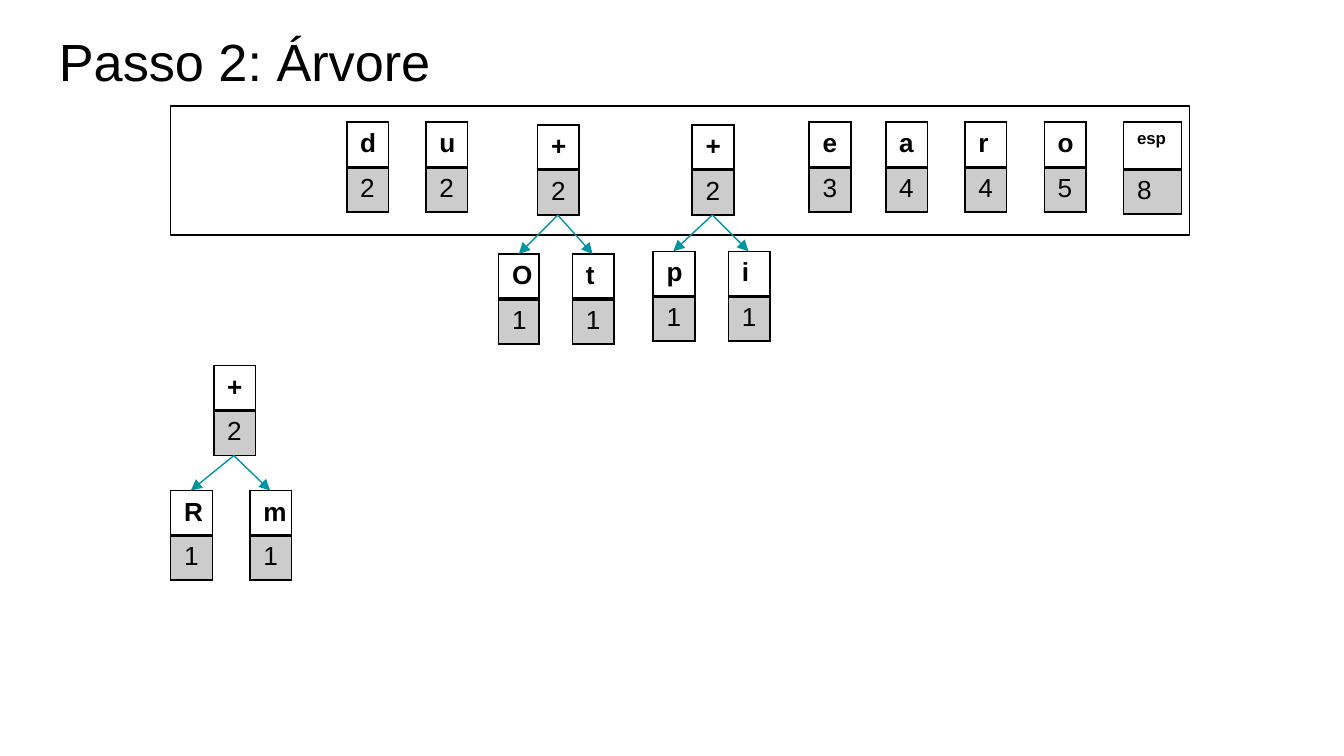
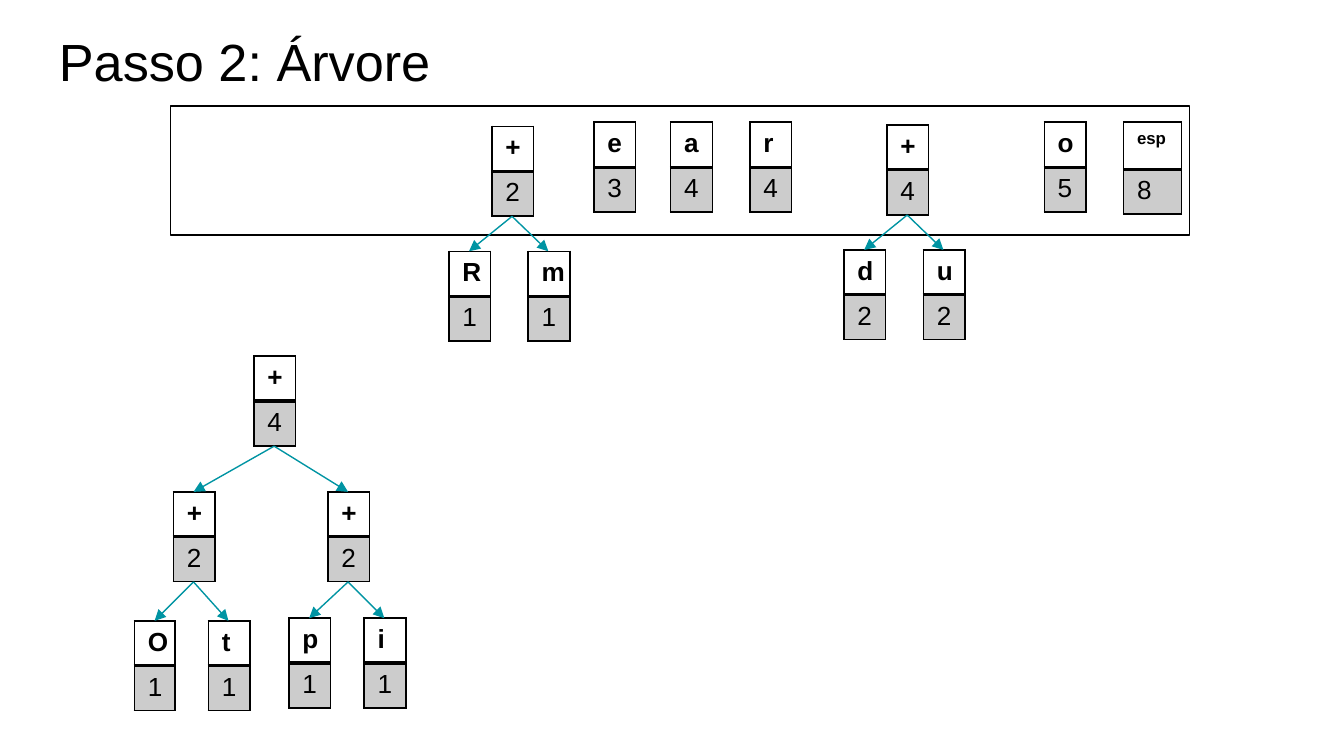
from dataclasses import dataclass, replace

from lxml.etree import SubElement
from pptx import Presentation
from pptx.dml.color import RGBColor
from pptx.enum.shapes import MSO_CONNECTOR, MSO_SHAPE
from pptx.enum.text import MSO_ANCHOR
from pptx.oxml.ns import qn
from pptx.slide import Slide
from pptx.table import _Cell
from pptx.util import Emu, Pt

PX = 9144
FONT = "Arial"
COLORS = {"ink": "000000", "arrow": "0094A3", "paper": "FFFFFF"}
COUNT_ALPHA = 20000
QUEUE_TOP = 91
ARROW_GAP = 3


@dataclass(frozen=True)
class Node:
    symbol: str
    count: int
    x: int = 0
    y: int = 0
    children: tuple["Node", ...] = ()
    width: int = 31
    height: int = 64
    rows: tuple[int, int] = (31, 31)
    symbol_size: int = 14


@dataclass(frozen=True)
class Step:
    queue: tuple[Node, ...]
    trees: tuple[Node, ...]


def px(length: int) -> Emu:
    return Emu(length * PX)


def color(name: str) -> RGBColor:
    return RGBColor.from_string(COLORS[name])


def branch(count: int, *children: Node) -> Node:
    return Node("+", count, children=children, rows=(29, 29))


def placed(node: Node, x: int, y: int) -> Node:
    return replace(node, x=x, y=y)


def queued(*nodes: Node) -> tuple[Node, ...]:
    return tuple(replace(node, y=QUEUE_TOP) for node in nodes)


def add_title(slide: Slide, wording: str) -> None:
    title = slide.shapes.add_textbox(px(34), px(12), px(932), px(63))
    frame = title.text_frame
    frame.word_wrap = True
    frame.vertical_anchor = MSO_ANCHOR.TOP
    frame.margin_left = frame.margin_right = px(10)
    frame.margin_top = frame.margin_bottom = px(10)
    paragraph = frame.paragraphs[0]
    paragraph.text = wording
    paragraph.font.size = Pt(28)
    paragraph.font.name = FONT
    paragraph.font.color.rgb = color("ink")


def add_tray(slide: Slide) -> None:
    tray = slide.shapes.add_shape(MSO_SHAPE.RECTANGLE, px(127), px(79), px(758), px(96))
    tray.shadow.inherit = False
    tray.fill.background()
    tray.line.color.rgb = color("ink")
    tray.line.width = Pt(0.75)


def set_borders(cell: _Cell, bottom: int) -> None:
    properties = cell._tc.get_or_add_tcPr()
    for side, width in (("L", 1), ("R", 1), ("T", 1), ("B", bottom)):
        border = SubElement(properties, qn(f"a:ln{side}"), w=str(Pt(width)))
        paint = SubElement(border, qn("a:solidFill"))
        SubElement(paint, qn("a:srgbClr"), val=COLORS["ink"])


def write_cell(cell: _Cell, wording: str, size: int, bold: bool) -> None:
    cell.margin_left = cell.margin_right = px(10)
    cell.margin_top = cell.margin_bottom = px(5)
    paragraph = cell.text_frame.paragraphs[0]
    paragraph.text = wording
    paragraph.font.size = Pt(size)
    paragraph.font.bold = bold
    paragraph.font.name = FONT
    paragraph.font.color.rgb = color("ink")


def add_node(slide: Slide, node: Node, x: int, y: int) -> None:
    frame = slide.shapes.add_table(2, 1, px(x), px(y), px(node.width), px(node.height))
    table = frame.table
    table.first_row = table.horz_banding = False
    for row, height in zip(table.rows, node.rows):
        row.height = px(height)
    frame.height = px(node.height)

    symbol, count = table.cell(0, 0), table.cell(1, 0)
    write_cell(symbol, node.symbol, node.symbol_size, True)
    set_borders(symbol, 2)
    symbol.fill.background()

    write_cell(count, str(node.count), 14, False)
    set_borders(count, 1)
    count.fill.solid()
    count.fill.fore_color.rgb = color("ink")
    shade = count._tc.tcPr.find(qn("a:solidFill"))[0]
    SubElement(shade, qn("a:alpha"), val=str(COUNT_ALPHA))


def add_arrow(slide: Slide, start: tuple[int, int], end: tuple[int, int]) -> None:
    arrow = slide.shapes.add_connector(
        MSO_CONNECTOR.STRAIGHT, *map(px, start), *map(px, end)
    )
    arrow.line.color.rgb = color("arrow")
    arrow.line.width = Pt(0.75)
    SubElement(arrow.line._get_or_add_ln(), qn("a:tailEnd"), type="triangle")
    SubElement(arrow._element.spPr, qn("a:effectLst"))


def add_tree(slide: Slide, node: Node, origin_x: int = 0, origin_y: int = 0) -> None:
    x, y = origin_x + node.x, origin_y + node.y
    for child in node.children:
        add_tree(slide, child, x, y)
    add_node(slide, node, x, y)
    for child in reversed(node.children):
        start = (x + node.width // 2, y + node.height + ARROW_GAP)
        end = (x + child.x + child.width // 2, y + child.y)
        add_arrow(slide, start, end)


D, U = Node("d", 2), Node("u", 2)
E, A, R = Node("e", 3), Node("a", 4), Node("r", 4)
O_QUEUED = Node("o", 5, x=777)
SPACE = Node("esp", 8, x=836, width=43, height=67, rows=(35, 31), symbol_size=9)

O_T = branch(2, Node("O", 1, -29, 96, width=30), Node("t", 1, 26, 96))
P_I = branch(2, Node("p", 1, -29, 94), Node("i", 1, 27, 94))
R_M = branch(2, Node("R", 1, -32, 93), Node("m", 1, 27, 93))
D_U = branch(4, placed(D, -32, 93), placed(U, 27, 93))
O_T_P_I = branch(4, placed(O_T, -60, 101), placed(P_I, 55, 101))


def vowels_and_r(x: int) -> tuple[Node, ...]:
    return replace(E, x=x), replace(A, x=x + 57), replace(R, x=x + 116)


STEPS = (
    Step(
        queued(replace(D, x=258), replace(U, x=317), *vowels_and_r(602), O_QUEUED, SPACE),
        (placed(O_T, 400, 93), placed(P_I, 515, 93), placed(R_M, 159, 272)),
    ),
    Step(
        queued(*vowels_and_r(442), O_QUEUED, SPACE),
        (placed(R_M, 366, 94), placed(D_U, 660, 93), placed(O_T_P_I, 189, 265)),
    ),
)


def add_step(deck: Presentation, step: Step) -> None:
    slide = deck.slides.add_slide(deck.slide_layouts[6])
    slide.background.fill.solid()
    slide.background.fill.fore_color.rgb = color("paper")
    add_title(slide, "Passo 2: Árvore")
    for node in step.queue:
        add_tree(slide, node)
    add_tray(slide)
    for tree in step.trees:
        add_tree(slide, tree)


def main() -> None:
    deck = Presentation()
    deck.slide_width = px(1000)
    deck.slide_height = Emu(deck.slide_width * 9 // 16)
    for step in STEPS:
        add_step(deck, step)
    deck.save("out.pptx")


if __name__ == "__main__":
    main()
